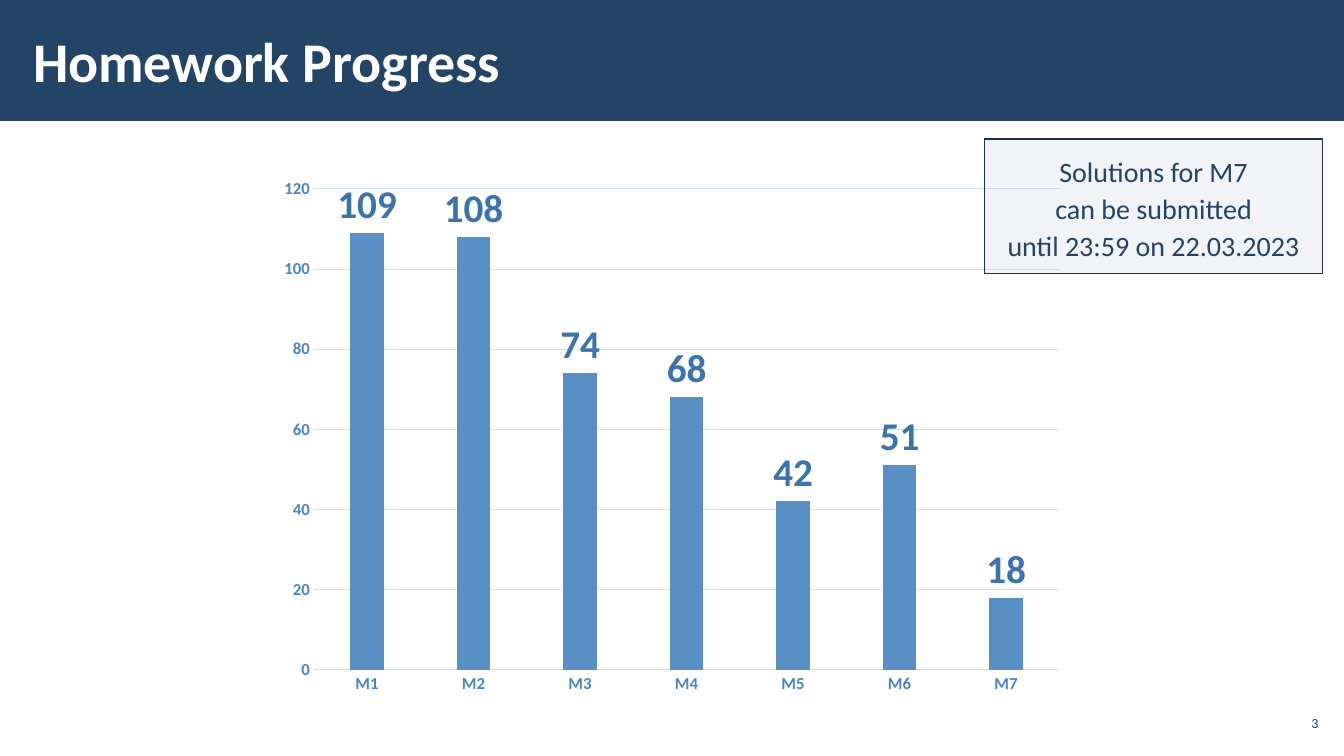
from lxml import etree
from pptx import Presentation
from pptx.chart.data import CategoryChartData
from pptx.dml.color import RGBColor
from pptx.enum.chart import XL_CHART_TYPE, XL_LABEL_POSITION, XL_TICK_MARK
from pptx.enum.shapes import MSO_SHAPE
from pptx.enum.text import MSO_ANCHOR, PP_ALIGN
from pptx.oxml.ns import qn
from pptx.util import Pt

COLUMNS = XL_CHART_TYPE.COLUMN_CLUSTERED
ABOVE = XL_LABEL_POSITION.OUTSIDE_END
NO_TICK = XL_TICK_MARK.NONE
RECTANGLE = MSO_SHAPE.RECTANGLE
TOP, MIDDLE = MSO_ANCHOR.TOP, MSO_ANCHOR.MIDDLE
LEFT, CENTER, RIGHT = PP_ALIGN.LEFT, PP_ALIGN.CENTER, PP_ALIGN.RIGHT

TITLE = "Homework Progress"
NOTE = ["Solutions for M7", "can be submitted", "until 23:59 on 22.03.2023"]
PAGE_NUMBER = "3"
SUBMISSIONS = {"M1": 109, "M2": 108, "M3": 74, "M4": 68, "M5": 42, "M6": 51, "M7": 18}

FONT = "Calibri"
COLORS = {
    "navy": "234465", "white": "FFFFFF", "bar": "588FC5", "value": "3B73AA",
    "axis": "4A85C0", "grid": "D5E3F1", "note": "ADB4C3", "border": "1A334C",
}
PAGE_WIDTH, PAGE_HEIGHT = 960, 540
# left, top, width, height in points
HEADER_AREA = (0, 0, PAGE_WIDTH, 86.4)
TITLE_AREA = (15.1, 7.9, 765.4, 69.8)
CHART_AREA = (191.5, 120.2, 576.7, 383)
NOTE_AREA = (703.4, 99.4, 241.2, 95.8)
NUMBER_AREA = (910.8, 504, 33.8, 24.5)


def rgb(name):
    return RGBColor.from_string(COLORS[name])


def points(area):
    return [Pt(length) for length in area]


def style_font(font, size, color, bold=False):
    font.name, font.size, font.bold = FONT, Pt(size), bold
    font.color.rgb = rgb(color)


def style_line(line, color, width):
    line.color.rgb = rgb(color)
    line.width = Pt(width)


def write(box, lines, size, color, align, anchor, margins, bold=False, spacing=1):
    """Fill a shape with one paragraph per line; margins are (side, top and bottom)."""
    frame = box.text_frame
    frame.word_wrap = True
    frame.vertical_anchor = anchor
    frame.margin_left = frame.margin_right = Pt(margins[0])
    frame.margin_top = frame.margin_bottom = Pt(margins[1])
    frame.text = "\n".join(lines)
    for para in frame.paragraphs:
        para.alignment = align
        para.line_spacing = spacing
        style_font(para.font, size, color, bold)


def add_rectangle(page, area, color):
    box = page.shapes.add_shape(RECTANGLE, *points(area))
    box.shadow.inherit = False
    box.fill.solid()
    box.fill.fore_color.rgb = rgb(color)
    box.line.fill.background()
    return box


def set_opacity(box, percent):
    color = box.fill._xPr.find(qn("a:solidFill"))[0]
    etree.SubElement(color, qn("a:alpha")).set("val", str(percent * 1000))


def add_submission_chart(page):
    data = CategoryChartData()
    data.categories = list(SUBMISSIONS)
    data.add_series("Series 1", list(SUBMISSIONS.values()))
    chart = page.shapes.add_chart(COLUMNS, *points(CHART_AREA), data).chart
    chart.has_legend = chart.has_title = False
    style_font(chart.font, 10, "navy")

    for axis in (chart.category_axis, chart.value_axis):
        axis.major_tick_mark = axis.minor_tick_mark = NO_TICK
        style_font(axis.tick_labels.font, 12, "axis", bold=True)
    style_line(chart.category_axis.format.line, "grid", 0.75)
    values = chart.value_axis
    values.minimum_scale, values.maximum_scale, values.major_unit = 0, 120, 20
    values.format.line.fill.background()
    style_line(values.major_gridlines.format.line, "grid", 0.75)

    plot = chart.plots[0]
    plot.vary_by_categories = False
    plot.gap_width, plot.overlap = 219, -27
    bars = plot.series[0]
    bars.format.fill.solid()
    bars.format.fill.fore_color.rgb = rgb("bar")
    labels = bars.data_labels
    labels.show_value = True
    labels.position = ABOVE
    style_font(labels.font, 28, "value", bold=True)


def main():
    deck = Presentation()
    deck.slide_width, deck.slide_height = Pt(PAGE_WIDTH), Pt(PAGE_HEIGHT)
    page = deck.slides.add_slide(deck.slide_layouts[6])

    add_rectangle(page, HEADER_AREA, "navy")
    title = page.shapes.add_textbox(*points(TITLE_AREA))
    write(title, [TITLE], 40, "white", LEFT, MIDDLE, (8.6, 2.9), bold=True)
    number = page.shapes.add_textbox(*points(NUMBER_AREA))
    write(number, [PAGE_NUMBER], 10, "navy", RIGHT, MIDDLE, (2.9, 2.9))

    add_submission_chart(page)

    note = add_rectangle(page, NOTE_AREA, "note")
    set_opacity(note, 15)
    style_line(note.line, "border", 1)
    write(note, NOTE, 20, "navy", CENTER, TOP, (11.5, 8.6), spacing=1.1)

    deck.save("out.pptx")


if __name__ == "__main__":
    main()
